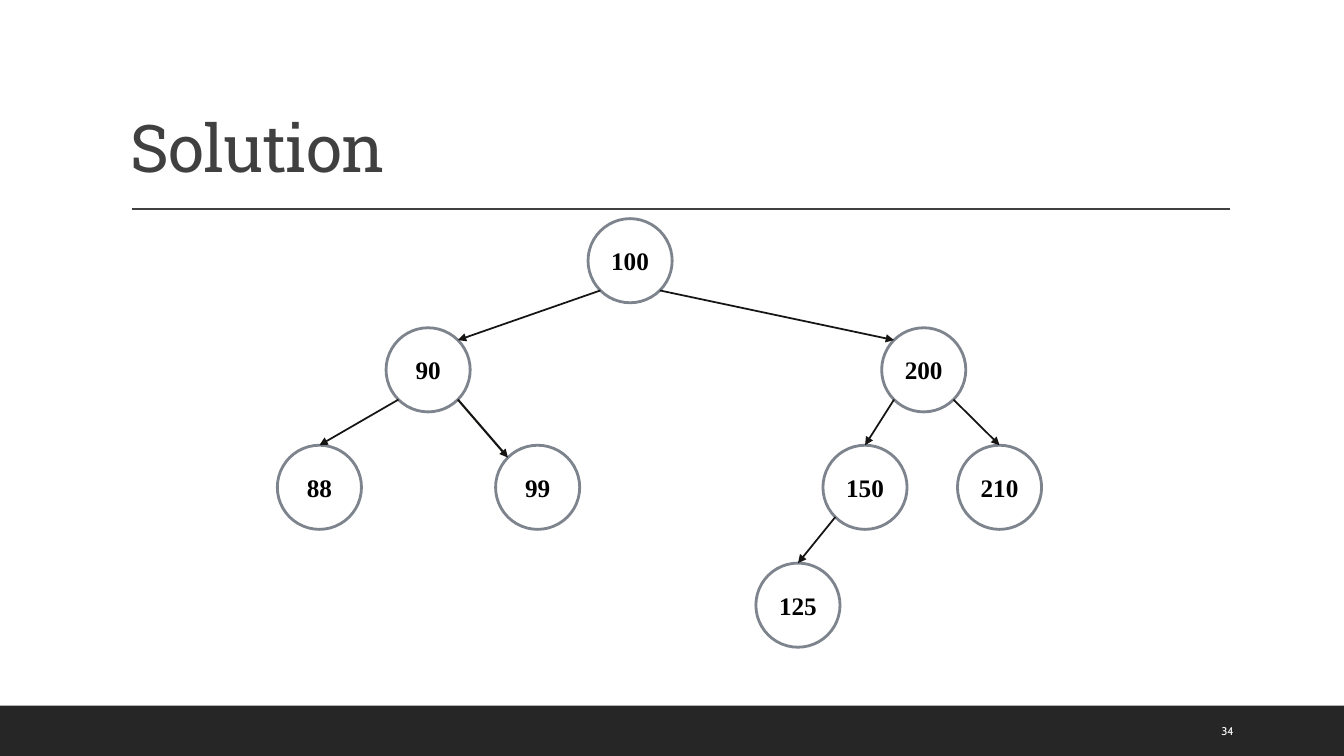
from lxml import etree
from pptx import Presentation
from pptx.dml.color import RGBColor
from pptx.enum.shapes import MSO_CONNECTOR, MSO_SHAPE
from pptx.enum.text import MSO_ANCHOR, PP_ALIGN
from pptx.oxml.ns import qn
from pptx.util import Cm, Pt

STRAIGHT = MSO_CONNECTOR.STRAIGHT
OVAL, RECTANGLE = MSO_SHAPE.OVAL, MSO_SHAPE.RECTANGLE
MIDDLE, BOTTOM = MSO_ANCHOR.MIDDLE, MSO_ANCHOR.BOTTOM
LEFT, CENTER = PP_ALIGN.LEFT, PP_ALIGN.CENTER

WHITE = RGBColor(0xFF, 0xFF, 0xFF)
BLACK = RGBColor(0x00, 0x00, 0x00)
FOOTER_GRAY = RGBColor(0x26, 0x26, 0x26)
TITLE_GRAY = RGBColor(0x40, 0x40, 0x40)
NODE_GRAY = RGBColor(0x7E, 0x84, 0x8D)
ARROW_BLACK = RGBColor(0x16, 0x15, 0x14)

RADIUS = 1.06
DIAGONAL = RADIUS * 0.5 ** 0.5
LEVELS = [6.57, 9.32, 12.28, 15.25]
NODES = {
    "100": (15.88, 0),
    "90": (10.79, 1),
    "200": (23.28, 1),
    "88": (8.05, 2),
    "99": (13.55, 2),
    "150": (21.8, 2),
    "210": (25.19, 2),
    "125": (20.11, 3),
}
CORNER_EDGES = [("100", "90", 1.25), ("100", "200", 1.25), ("90", "99", 1.5)]
TOP_EDGES = [("90", "88"), ("200", "150"), ("200", "210"), ("150", "125")]


def write_text(shape, text, font_name, size, color, anchor, alignment):
    """Put one formatted line of text in a shape and return its paragraph."""
    text_frame = shape.text_frame
    text_frame.text = text
    text_frame.vertical_anchor = anchor
    paragraph = text_frame.paragraphs[0]
    paragraph.alignment = alignment
    font = paragraph.runs[0].font
    font.name = font_name
    font.size = Pt(size)
    font.color.rgb = color
    return paragraph


def add_text_box(slide, left, top, width, height, *text_format):
    """Add a wrapping text box and return its paragraph."""
    box = slide.shapes.add_textbox(Cm(left), Cm(top), Cm(width), Cm(height))
    box.text_frame.word_wrap = True
    return write_text(box, *text_format)


def add_filled_shape(slide, kind, left, top, width, height, color):
    """Add a flat shape without an outline."""
    shape = slide.shapes.add_shape(kind, Cm(left), Cm(top), Cm(width), Cm(height))
    shape.shadow.inherit = False
    shape.fill.solid()
    shape.fill.fore_color.rgb = color
    shape.line.fill.background()
    return shape


def add_line(slide, start, end, color, width):
    """Add a straight line without a shadow."""
    line = slide.shapes.add_connector(STRAIGHT, *map(Cm, start + end))
    line.line.color.rgb = color
    line.line.width = Pt(width)
    etree.SubElement(line._element.spPr, qn("a:effectLst"))
    return line


def node_center(key):
    """Return the centre of a tree node in centimetres."""
    x, level = NODES[key]
    return x, LEVELS[level]


def add_node(slide, key):
    """Add a circle holding its key."""
    x, y = node_center(key)
    node = add_filled_shape(slide, OVAL, x - RADIUS, y - RADIUS,
                            2 * RADIUS, 2 * RADIUS, WHITE)
    node.line.color.rgb = NODE_GRAY
    node.line.width = Pt(2)
    node.text_frame.word_wrap = False
    paragraph = write_text(node, key, "Times New Roman", 18, BLACK, MIDDLE, CENTER)
    paragraph.runs[0].font.bold = True


def add_edge(slide, parent, child, to_corner, width):
    """Draw an arrow from a parent's lower side to its child's corner or top."""
    parent_x, parent_y = node_center(parent)
    child_x, child_y = node_center(child)
    reach = DIAGONAL if child_x > parent_x else -DIAGONAL
    start = (parent_x + reach, parent_y + DIAGONAL)
    end = (child_x, child_y - RADIUS)
    if to_corner:
        end = (child_x - reach, child_y - DIAGONAL)
    arrow = add_line(slide, start, end, ARROW_BLACK, width)
    etree.SubElement(arrow.line._get_or_add_ln(), qn("a:tailEnd"), type="triangle")


def main():
    """Build the slide with the solved binary search tree."""
    presentation = Presentation()
    presentation.slide_width = Cm(33.87)
    presentation.slide_height = Cm(19.05)
    slide = presentation.slides.add_slide(presentation.slide_layouts[6])

    add_filled_shape(slide, RECTANGLE, 0, 17.78, 33.87, 1.27, FOOTER_GRAY)
    add_line(slide, (3.33, 5.27), (31, 5.27), TITLE_GRAY, 1)
    title = add_text_box(slide, 3.05, 0.79, 27.94, 4.04, "Solution",
                         "Roboto Slab", 47, TITLE_GRAY, BOTTOM, LEFT)
    title.line_spacing = 0.9
    title.runs[0]._r.get_or_add_rPr().set("spc", "-50")

    for key in NODES:
        add_node(slide, key)
    for parent, child, width in CORNER_EDGES:
        add_edge(slide, parent, child, True, width)
    for parent, child in TOP_EDGES:
        add_edge(slide, parent, child, False, 1.25)

    add_text_box(slide, 30.53, 17.91, 2.16, 1.02, "34",
                 "Cabin", 8, WHITE, MIDDLE, LEFT)
    presentation.save("out.pptx")


if __name__ == "__main__":
    main()
